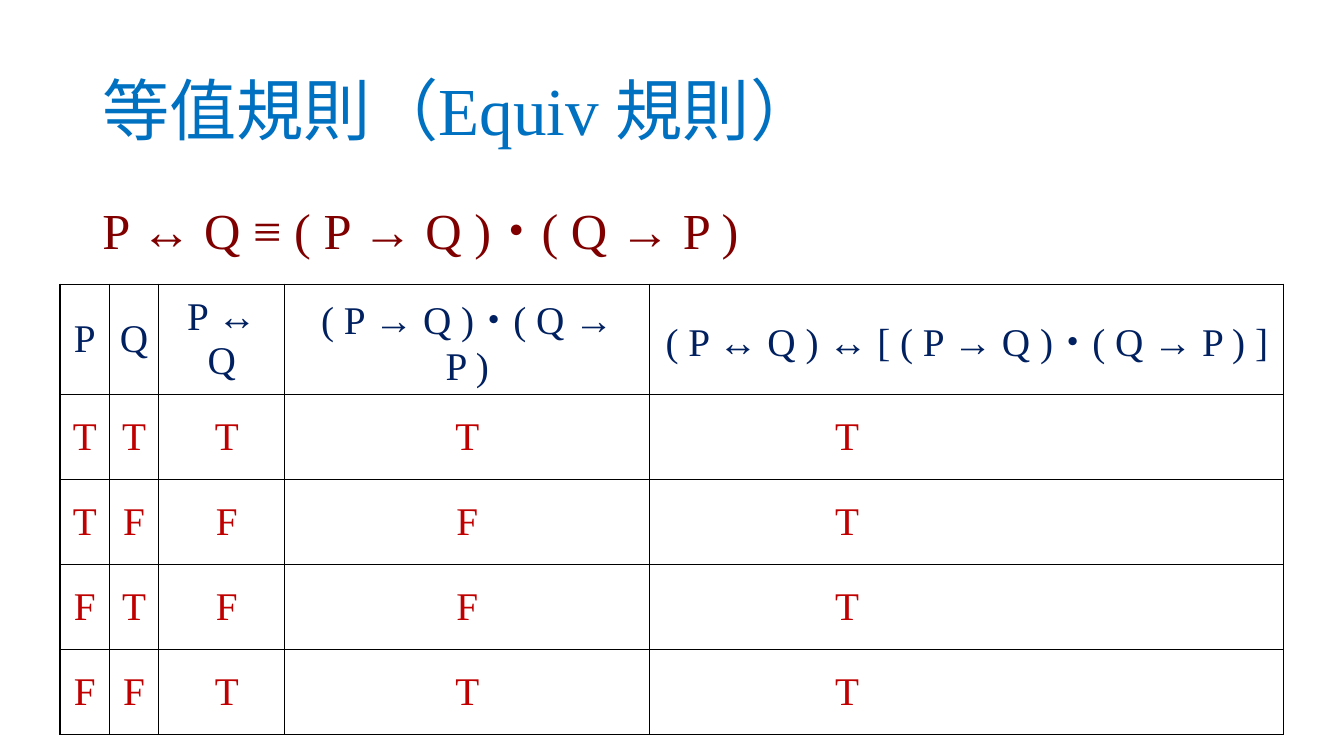
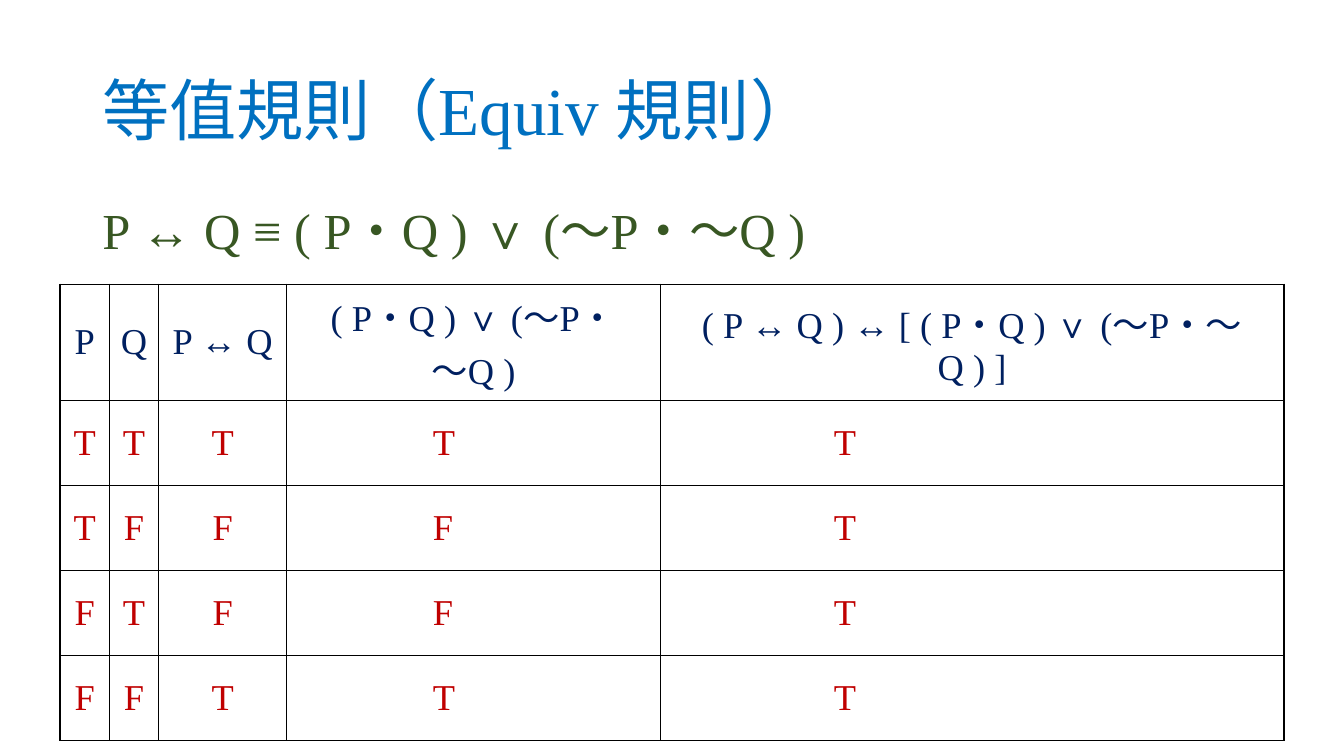
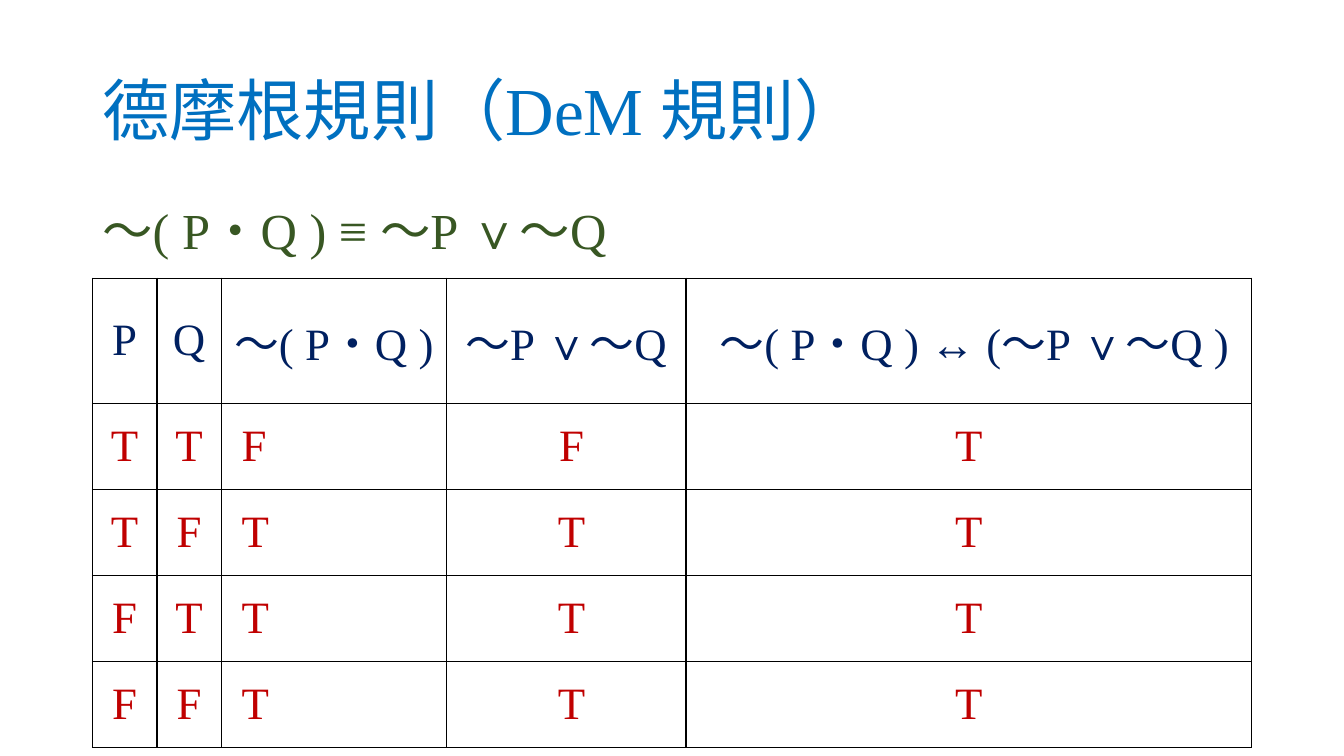
import dataclasses
import itertools

import lxml.etree
import pptx
import pptx.dml.color
import pptx.enum.text
import pptx.oxml.ns
import pptx.util

SLIDE_WIDTH = pptx.util.Inches(13.33)
SLIDE_HEIGHT = pptx.util.Inches(7.5)
CENTER = pptx.enum.text.PP_ALIGN.CENTER
LEFT = pptx.enum.text.PP_ALIGN.LEFT
MIDDLE = pptx.enum.text.MSO_ANCHOR.MIDDLE
TOP = pptx.enum.text.MSO_ANCHOR.TOP
NEGATION = "～"


@dataclasses.dataclass(frozen=True)
class Theme:
    background: str = "FFFFFF"
    title: str = "0070C0"
    maroon: str = "800000"
    green: str = "385723"
    heading: str = "002060"
    truth: str = "C00000"
    rule: str = "000000"
    serif: str = "Times New Roman"
    sans: str = "Arial"
    title_size: int = 48
    formula_size: int = 36
    rule_width: int = 1
    line_spacing: float = 0.9
    formula_gap: int = 10


THEME = Theme()


@dataclasses.dataclass(frozen=True)
class Column:
    weight: float
    heading: str
    truths: str
    align: int = CENTER
    inset: float = 0.1
    heading_indent: float = 0


@dataclasses.dataclass(frozen=True)
class TruthTable:
    width: float
    top: float
    heading_height: float
    row_height: float
    size: int
    columns: tuple


def across(percent):
    return round(SLIDE_WIDTH * percent / 100)


def down(percent):
    return round(SLIDE_HEIGHT * percent / 100)


def centered_left(width):
    return (SLIDE_WIDTH - width) // 2


def add_run(paragraph, words, size, color, font=THEME.serif):
    run = paragraph.add_run()
    run.text = words.replace("↔", "↔\ufe0e")
    run.font.name = font
    run.font.size = pptx.util.Pt(size)
    run.font.color.rgb = pptx.dml.color.RGBColor.from_string(color)


def add_formula_runs(paragraph, formula, size, color):
    for number, line in enumerate(formula.split("\n")):
        if number:
            paragraph.add_line_break()
        for negated, letters in itertools.groupby(line, lambda letter: letter == NEGATION):
            font = THEME.sans if negated else THEME.serif
            add_run(paragraph, "".join(letters), size, color, font)


def add_line(slide, words, top, height, size, color, anchor, gap=0):
    width = across(86.25)
    box = slide.shapes.add_textbox(centered_left(width), down(top), width, down(height))
    frame = box.text_frame
    frame.word_wrap = True
    frame.vertical_anchor = anchor
    paragraph = frame.paragraphs[0]
    paragraph.line_spacing = THEME.line_spacing
    paragraph.space_before = pptx.util.Pt(gap)
    add_run(paragraph, words, size, color)


def draw_borders(cell):
    properties = cell._tc.get_or_add_tcPr()
    for position, side in enumerate(("a:lnL", "a:lnR", "a:lnT", "a:lnB")):
        border = lxml.etree.Element(
            pptx.oxml.ns.qn(side), w=str(pptx.util.Pt(THEME.rule_width)))
        fill = lxml.etree.SubElement(border, pptx.oxml.ns.qn("a:solidFill"))
        lxml.etree.SubElement(fill, pptx.oxml.ns.qn("a:srgbClr"), val=THEME.rule)
        properties.insert(position, border)


def fill_cell(cell, words, size, color, align):
    cell.fill.background()
    draw_borders(cell)
    cell.vertical_anchor = MIDDLE
    paragraph = cell.text_frame.paragraphs[0]
    paragraph.alignment = align
    add_formula_runs(paragraph, words, size, color)
    return paragraph


def add_truth_table(slide, truth_table):
    columns = truth_table.columns
    truth_rows = len(columns[0].truths)
    heights = [down(truth_table.heading_height)] + [down(truth_table.row_height)] * truth_rows
    width = across(truth_table.width)
    table = slide.shapes.add_table(
        len(heights), len(columns), centered_left(width), down(truth_table.top),
        width, sum(heights)).table
    table.first_row = False
    table.horz_banding = False
    for row, height in zip(table.rows, heights):
        row.height = height
    total = sum(column.weight for column in columns)
    for index, column in enumerate(columns):
        table.columns[index].width = round(width * column.weight / total)
        heading = fill_cell(table.cell(0, index), column.heading,
                            truth_table.size, THEME.heading, CENTER)
        if column.heading_indent:
            indent = pptx.util.Inches(column.heading_indent)
            heading._p.get_or_add_pPr().set("indent", str(indent))
        for row, truth in enumerate(column.truths, 1):
            cell = table.cell(row, index)
            cell.margin_left = pptx.util.Inches(column.inset)
            fill_cell(cell, truth, truth_table.size, THEME.truth, column.align)


def add_rule_slide(deck, title, formula, formula_color, formula_height, truth_table):
    slide = deck.slides.add_slide(deck.slide_layouts[6])
    slide.background.fill.solid()
    slide.background.fill.fore_color.rgb = pptx.dml.color.RGBColor.from_string(
        THEME.background)
    add_line(slide, title, 5.33, 19.33, THEME.title_size, THEME.title, MIDDLE)
    add_line(slide, formula, 26.6, formula_height, THEME.formula_size,
             formula_color, TOP, THEME.formula_gap)
    add_truth_table(slide, truth_table)


def variables(weight):
    return Column(weight, "P", "TTFF"), Column(weight, "Q", "TFTF")


def main():
    deck = pptx.Presentation()
    deck.slide_width = SLIDE_WIDTH
    deck.slide_height = SLIDE_HEIGHT

    implications = TruthTable(91.07, 37.6, 14.55, 11.25, 28, (
        *variables(0.49),
        Column(1.25, "P ↔ Q", "TFFT", inset=0.2),
        Column(3.62, "( P → Q )・( Q → P )", "TFFT"),
        Column(6.29, "( P ↔ Q ) ↔ [ ( P → Q )・( Q → P ) ]", "TTTT", LEFT, 1.84),
    ))
    add_rule_slide(deck, "等值規則（Equiv 規則）", "P ↔ Q ≡ ( P → Q )・( Q → P )",
                   THEME.maroon, 9.07, implications)

    conjunctions = TruthTable(91.07, 37.6, 15.34, 11.25, 26, (
        *variables(0.49),
        Column(1.27, "P ↔ Q", "TFFT"),
        Column(3.71, "( P・Q ) ∨ (～P・\n～Q )", "TFFT", LEFT, 1.45),
        Column(6.19, "( P ↔ Q ) ↔ [ ( P・Q ) ∨ (～P・～Q ) ]", "TTTT", LEFT, 1.72),
    ))
    add_rule_slide(deck, "等值規則（Equiv 規則）", "P ↔ Q ≡ ( P・Q ) ∨ (～P・～Q )",
                   THEME.green, 9.6, conjunctions)

    de_morgan = TruthTable(86.25, 36.8, 16.53, 11.38, 32, (
        *variables(0.64),
        Column(2.23, "～( P・Q )", "FTTT", LEFT, 0.2),
        Column(2.38, "～P ∨～Q", "FTTT", inset=0.21),
        Column(5.61, "～( P・Q ) ↔ (～P ∨～Q ) ", "TTTT", heading_indent=0.22),
    ))
    add_rule_slide(deck, "德摩根規則（DeM 規則）", "～( P・Q ) ≡ ～P ∨～Q",
                   THEME.green, 10.13, de_morgan)

    deck.save("out.pptx")


main()
